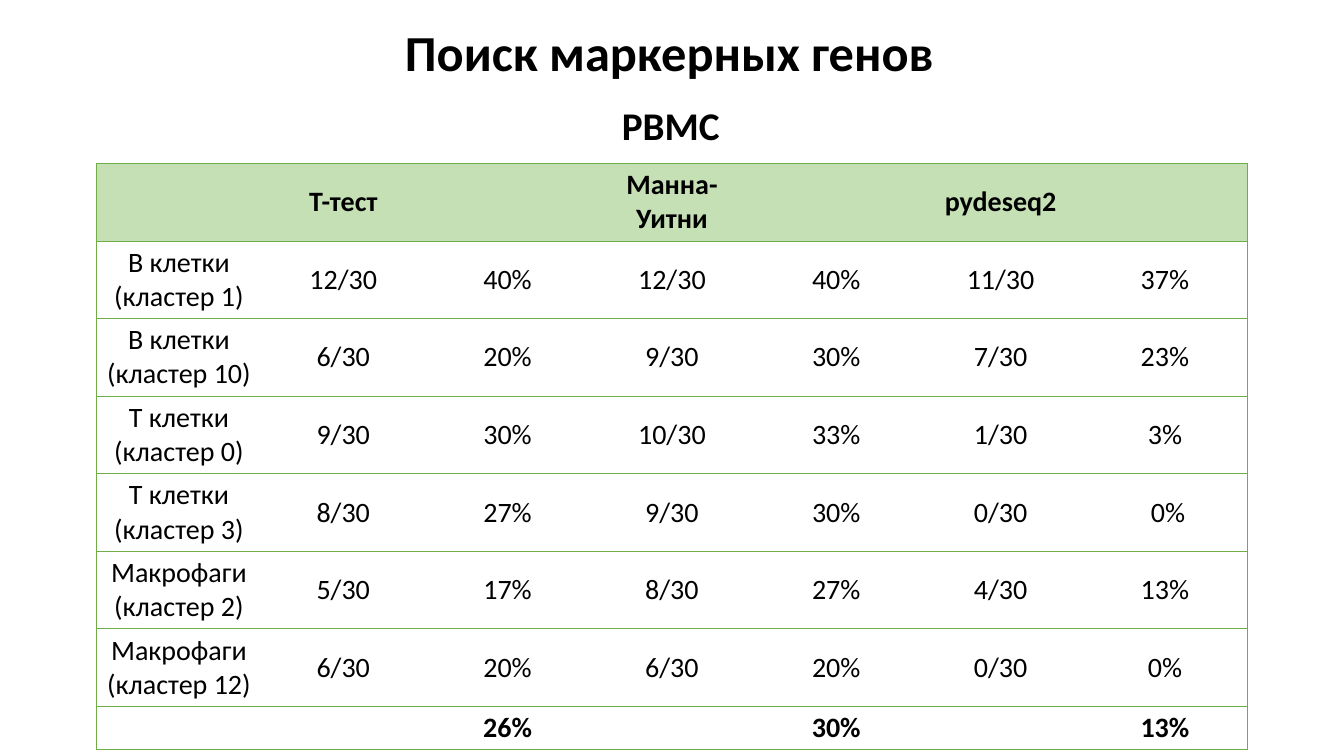
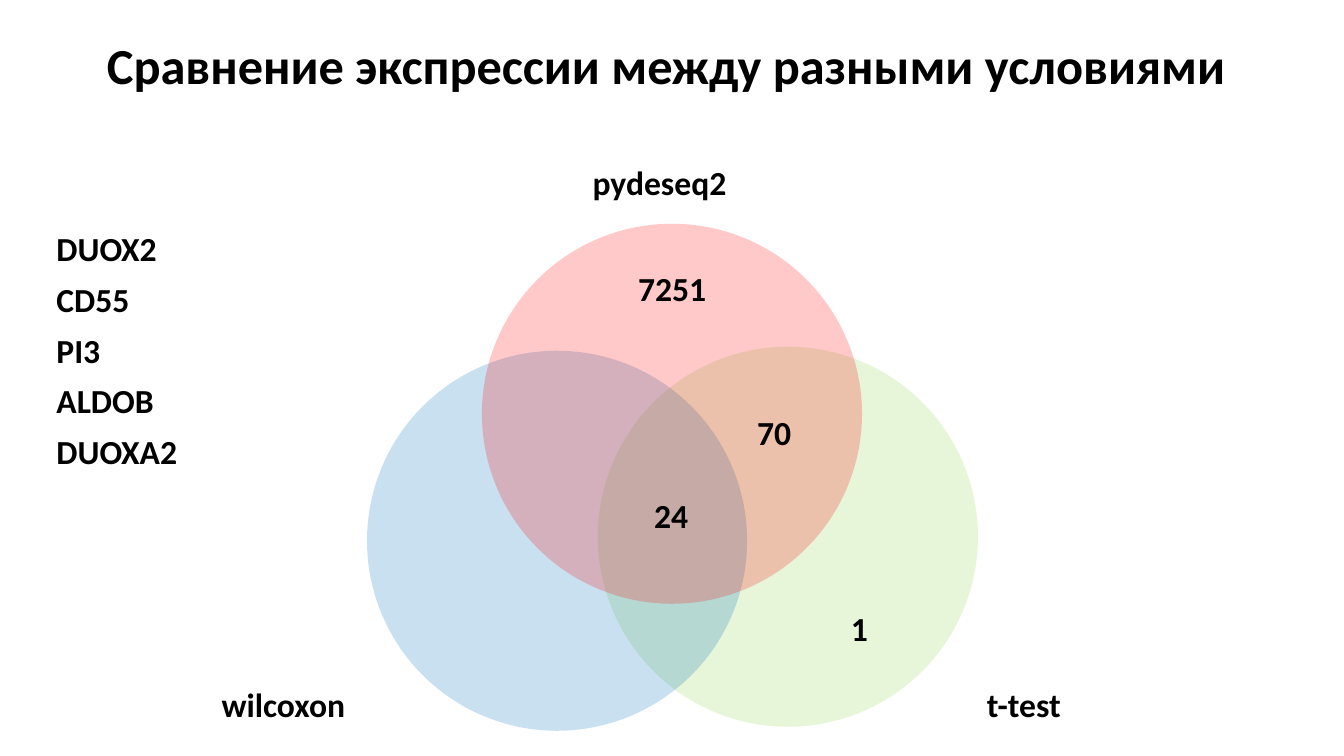
from lxml.etree import SubElement
from pptx import Presentation
from pptx.dml.color import RGBColor
from pptx.enum.shapes import MSO_SHAPE
from pptx.enum.text import MSO_ANCHOR, MSO_AUTO_SIZE, PP_ALIGN
from pptx.oxml import parse_xml
from pptx.oxml.ns import nsdecls, qn
from pptx.util import Inches, Pt

COLORS = {
    "text": "000000",
    "header": "C5E0B4",
    "rule": "70AD47",
    "pydeseq2": "FF0000",
    "wilcoxon": "0070C0",
    "t-test": "92D050",
}
FONT = "Calibri"
TITLE_SIZE, SUBTITLE_SIZE, LABEL_SIZE, TABLE_SIZE = 36, 28, 24, 20


def add_run(paragraph, text, size, bold=True):
    run = paragraph.add_run()
    run.text = text
    run.font.name = FONT
    run.font.size = Pt(size)
    run.font.bold = bold
    run.font.color.rgb = RGBColor.from_string(COLORS["text"])


def place(shape, left, top, width, height, wrap=True):
    """Position a text shape and return its prepared text frame."""
    shape.left, shape.top = Inches(left), Inches(top)
    shape.width, shape.height = Inches(width), Inches(height)
    frame = shape.text_frame
    frame.word_wrap = wrap
    frame.auto_size = MSO_AUTO_SIZE.NONE
    return frame


prs = Presentation()
prs.slide_width, prs.slide_height = Inches(13.33), Inches(7.5)
content_layout, title_layout = prs.slide_layouts[1], prs.slide_layouts[5]

markers = prs.slides.add_slide(title_layout)
comparison = prs.slides.add_slide(content_layout)

titles = [
    (markers, "Поиск маркерных генов", (3.89, 0.15, 5.5, 0.71)),
    (comparison, "Сравнение экспрессии между разными условиями", (0.91, 0.28, 11.4, 0.71)),
]
for slide, title, box in titles:
    paragraph = place(slide.shapes.title, *box, wrap=False).paragraphs[0]
    paragraph.alignment = PP_ALIGN.CENTER
    add_run(paragraph, title, TITLE_SIZE)

# Marker genes found per cluster
dataset = place(markers.shapes.add_textbox(0, 0, 0, 0), 6.07, 0.96, 1.18, 0.57, wrap=False)
add_run(dataset.paragraphs[0], "PBMC", SUBTITLE_SIZE)

marker_rows = [
    ["", "Т-тест", "", "Манна-Уитни", "", "pydeseq2", ""],
    ["В клетки (кластер 1)", "12/30", "40%", "12/30", "40%", "11/30", "37%"],
    ["В клетки (кластер 10)", "6/30", "20%", "9/30", "30%", "7/30", "23%"],
    ["Т клетки (кластер 0)", "9/30", "30%", "10/30", "33%", "1/30", "3%"],
    ["Т клетки (кластер 3)", "8/30", "27%", "9/30", "30%", "0/30", " 0%"],
    ["Макрофаги (кластер 2)", "5/30", "17%", "8/30", "27%", "4/30", "13%"],
    ["Макрофаги (кластер 12)", "6/30", "20%", "6/30", "20%", "0/30", "0%"],
    ["", "", "26%", "", "30%", "", "13%"],
]
last_row, last_column = len(marker_rows) - 1, len(marker_rows[0]) - 1
table_frame = markers.shapes.add_table(
    last_row + 1, last_column + 1, Inches(0.96), Inches(1.62), Inches(11.41), Inches(5.8))
table = table_frame.table
table.first_row = table.horz_banding = False
NO_STYLE = "{2D5ABB26-0587-4C30-8999-92F81FD0307C}"
table_frame._element.find(".//" + qn("a:tableStyleId")).text = NO_STYLE
for column in table.columns:
    column.width = Inches(1.63)

for r, values in enumerate(marker_rows):
    table.rows[r].height = Inches(0.43 if r == last_row else 0.77)
    for c, value in enumerate(values):
        cell = table.cell(r, c)
        cell.vertical_anchor = MSO_ANCHOR.MIDDLE
        cell.margin_top = cell.margin_bottom = Inches(0.04)
        sides = ["L"] * (c == 0) + ["R"] * (c == last_column) + ["T", "B"]
        for side in sides:
            cell._tc.get_or_add_tcPr().append(parse_xml(
                f'<a:ln{side} {nsdecls("a")} w="6350"><a:solidFill>'
                f'<a:srgbClr val="{COLORS["rule"]}"/></a:solidFill></a:ln{side}>'))
        if r == 0:
            cell.fill.solid()
            cell.fill.fore_color.rgb = RGBColor.from_string(COLORS["header"])
        else:
            cell.fill.background()
        if value:
            paragraph = cell.text_frame.paragraphs[0]
            paragraph.alignment = PP_ALIGN.CENTER
            add_run(paragraph, value, TABLE_SIZE, bold=r in (0, last_row))

# Overlap of the three methods
DIAMETER = 3.77
circles = [("t-test", 5.93, 3.44), ("wilcoxon", 3.64, 3.48), ("pydeseq2", 4.78, 2.22)]
for method, left, top in circles:
    circle = comparison.shapes.add_shape(
        MSO_SHAPE.OVAL, Inches(left), Inches(top), Inches(DIAMETER), Inches(DIAMETER))
    circle.shadow.inherit = False
    circle.line.fill.background()
    circle.fill.solid()
    circle.fill.fore_color.rgb = RGBColor.from_string(COLORS[method])
    color = circle._element.spPr.find(qn("a:solidFill")).find(qn("a:srgbClr"))
    SubElement(color, qn("a:alpha")).set("val", "21000")

venn_labels = [
    ("t-test", 9.69, 6.74, 1),
    ("wilcoxon", 2.1, 6.74, 1.43),
    ("pydeseq2", 5.78, 1.56, 1.56),
    ("7251", 6.23, 2.61, 1),
    ("1", 8.34, 5.98, 0.41),
    ("24", 6.39, 4.86, 0.6),
    ("70", 7.41, 4.04, 0.62),
]
for label, left, top, width in venn_labels:
    frame = place(comparison.shapes.add_textbox(0, 0, 0, 0), left, top, width, 0.5)
    add_run(frame.paragraphs[0], label, LABEL_SIZE)

genes = place(comparison.placeholders[1], 0.46, 2.21, 1.69, 2.7)
for i, gene in enumerate(["DUOX2", "CD55", "PI3", "ALDOB", "DUOXA2"]):
    paragraph = genes.paragraphs[0] if i == 0 else genes.add_paragraph()
    paragraph.space_before, paragraph.space_after = Pt(0), Pt(7.5)
    properties = paragraph._p.get_or_add_pPr()
    properties.set("marL", "0")
    properties.set("indent", "0")
    SubElement(properties, qn("a:buNone"))
    add_run(paragraph, gene, LABEL_SIZE)

prs.save("out.pptx")
